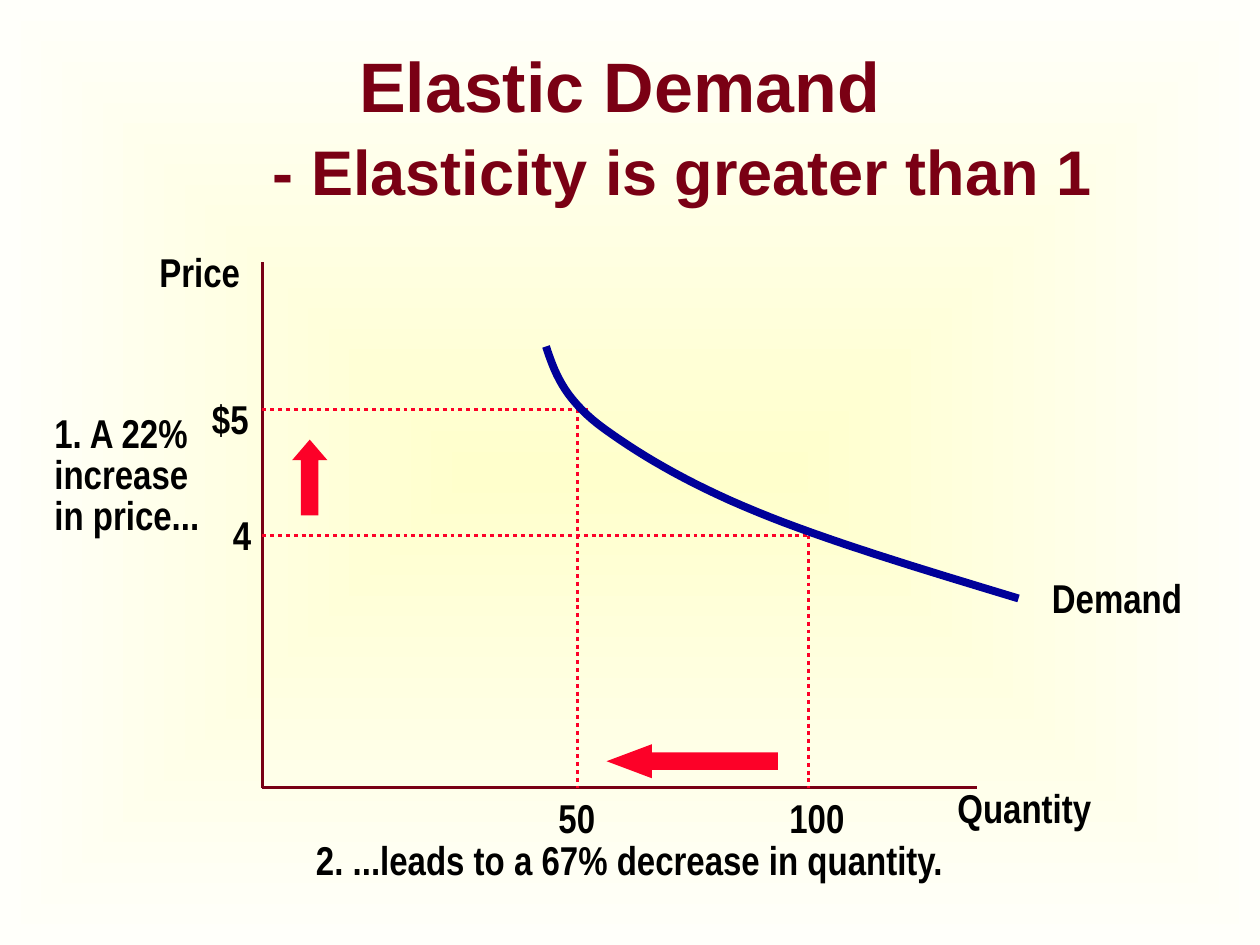
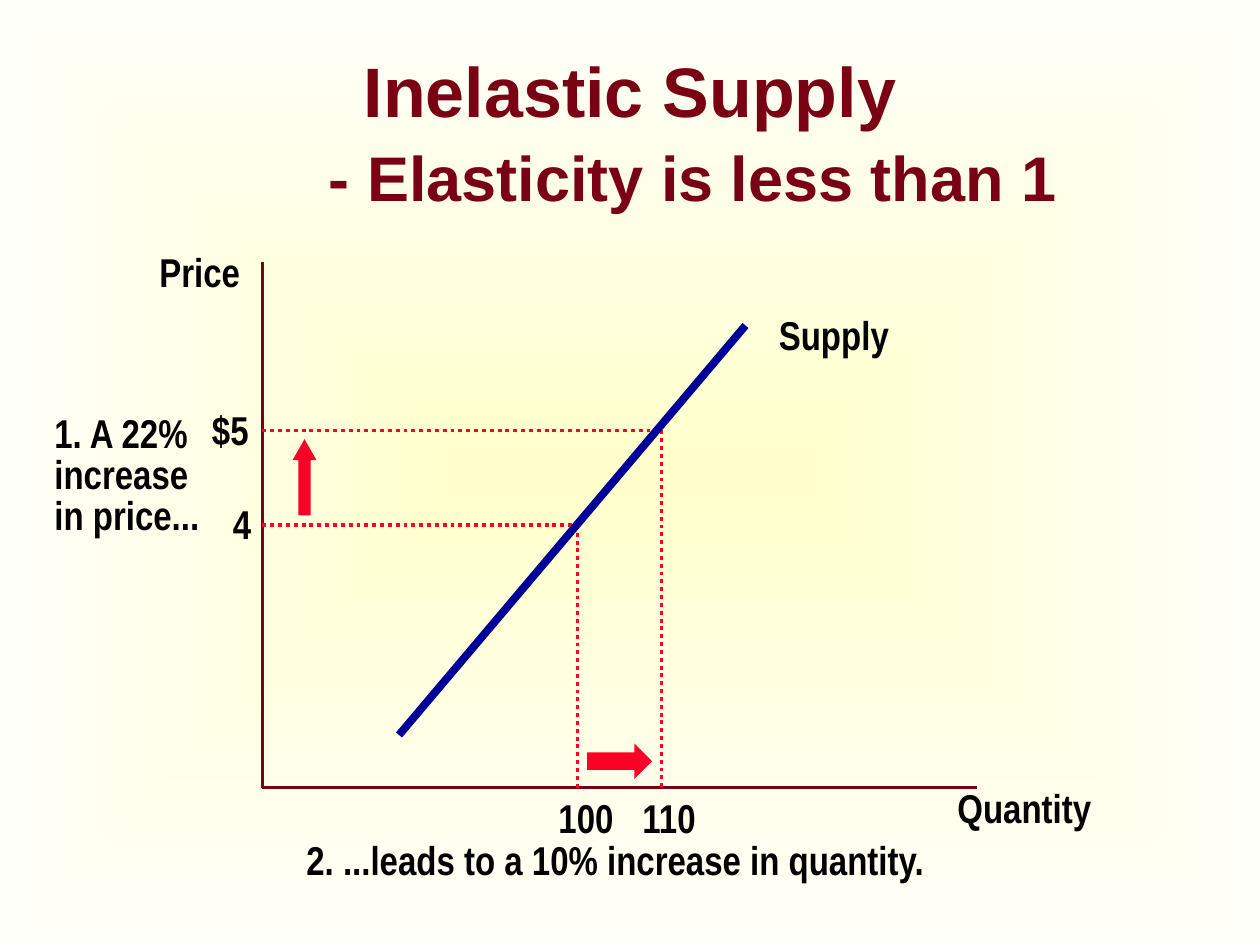
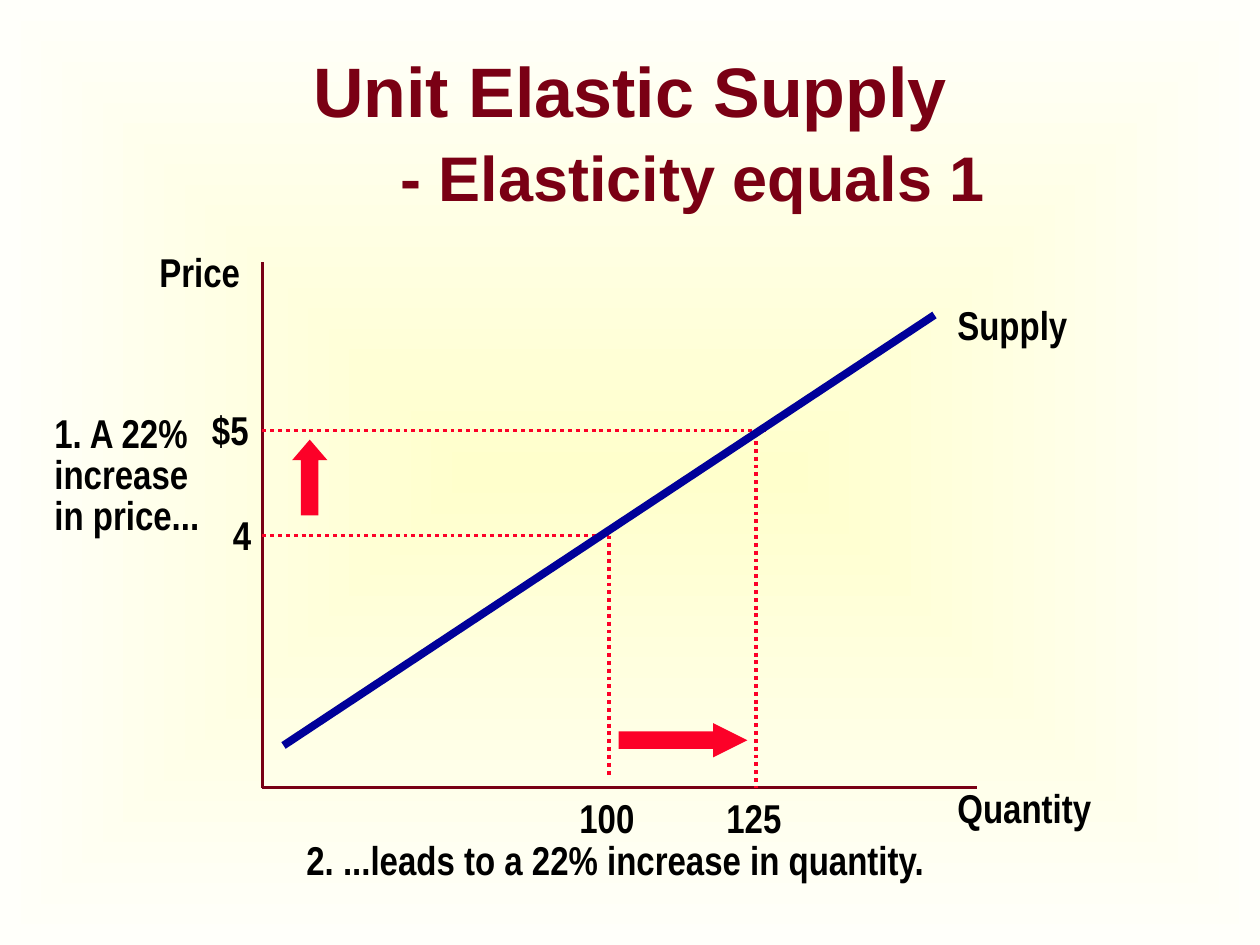
import collections

import lxml.etree
import pptx
import pptx.dml.color
import pptx.enum.dml
import pptx.enum.shapes
import pptx.enum.text
import pptx.oxml.ns
import pptx.util

Pt = pptx.util.Pt
SHAPE = pptx.enum.shapes.MSO_SHAPE
qn = pptx.oxml.ns.qn

HUES = {
    "title": "7A0014", "axis": "790015", "text": "000000",
    "guide": "FC0128", "curve": "000099",
    "core": "FFFFCC", "edge": "FFFFFA",
}
HEAD_FONT, TEXT_FONT = "Arial", "Arial Narrow"
LABEL_HIGH = 35

Box = collections.namedtuple("Box", "left top wide high")
# One price and its quantity; the lines meet near (x, y) in the plot.
Guide = collections.namedtuple(
    "Guide", "price y rise reach amount x shift top foot")
Arrow = collections.namedtuple("Arrow", "kind left top wide high")
Label = collections.namedtuple("Label", "text left top wide")

PLOT = Box(150, 150, 408, 300)
HEAD = Box(0, 30, 720, 90)

SLIDES = [
    dict(
        head=("Elastic Demand", "- Elasticity is greater than 1"),
        head_box=Box(24, 18, 660, 108),
        guides=[Guide("4", 156, 18, 312, "100", 312, 18, 156, 300),
                Guide("$5", 84, 12, 186, "50", 180, 18, 84, 300)],
        name=Label("Demand", 444, 174, 94),
        curve=[(162, 48), (166.8, 62.4), (171.8, 76.8), (192, 92.6),
               (212.2, 107.8), (241.7, 125.8), (282, 142.3),
               (322.3, 158.9), (377, 175.4), (432, 192)],
        effect=Label("2. ...leads to a 67% decrease in quantity.",
                     23.5, 324, 382),
        arrows=[Arrow(SHAPE.UP_ARROW, 18, 102, 18, 42),
                Arrow(SHAPE.LEFT_ARROW, 198, 276, 96, 18)],
    ),
    dict(
        head=("Inelastic Supply", "- Elasticity is less than 1"),
        head_box=HEAD,
        guides=[Guide("4", 150, 18, 180, "100", 180, 18, 150, 300),
                Guide("$5", 96, 18, 228, "110", 228, 18, 96, 300)],
        name=Label("Supply", 288, 24, 83),
        curve=[(78, 270), (276, 36)],
        effect=Label("2. ...leads to a 10% increase in quantity.",
                     18, 324, 377),
        arrows=[Arrow(SHAPE.UP_ARROW, 18, 102, 12, 42),
                Arrow(SHAPE.RIGHT_ARROW, 186, 276, 36, 18)],
    ),
    dict(
        head=("Unit Elastic Supply", "- Elasticity equals 1"),
        head_box=HEAD,
        guides=[Guide("4", 156, 18, 198, "100", 198, 24, 156, 294),
                Guide("$5", 96, 18, 288, "125", 282, 24, 102, 300)],
        name=Label("Supply", 390, 18, 83),
        curve=[(12, 276), (384, 30)],
        effect=Label("2. ...leads to a 22% increase in quantity.",
                     18, 324, 377),
        arrows=[Arrow(SHAPE.UP_ARROW, 18, 102, 18, 42),
                Arrow(SHAPE.RIGHT_ARROW, 204, 264, 72, 18)],
    ),
]


def hue(name):
    return pptx.dml.color.RGBColor.from_string(HUES[name])


def style(font, face, size, name):
    font.name, font.size, font.bold = face, Pt(size), True
    font.color.rgb = hue(name)


def add_back(master):
    """Give every slide the glow that fades from the middle."""
    fill = master.background.fill
    fill.gradient()
    for stop, place, name in zip(fill.gradient_stops, (0, 1), ("core", "edge")):
        stop.position = place
        stop.color.rgb = hue(name)
    grad = next(master.element.iter(qn("a:gradFill")))
    grad.remove(grad.find(qn("a:lin")))
    path = lxml.etree.SubElement(grad, qn("a:path"), path="rect")
    lxml.etree.SubElement(path, qn("a:fillToRect"),
                          {side: "50000" for side in "ltrb"})


def add_head(slide, box, main, sub):
    title = slide.shapes.title
    title.left, title.top, title.width, title.height = map(Pt, box)
    frame = title.text_frame
    frame.auto_size = pptx.enum.text.MSO_AUTO_SIZE.NONE
    frame.vertical_anchor = pptx.enum.text.MSO_ANCHOR.MIDDLE
    para = frame.paragraphs[0]
    para.text = f"{main}\v\t"
    para.add_run().text = sub
    para.alignment = pptx.enum.text.PP_ALIGN.CENTER
    # Tab stops one inch apart
    tabs = lxml.etree.SubElement(para._p.get_or_add_pPr(), qn("a:tabLst"))
    for inch in range(8):
        lxml.etree.SubElement(tabs, qn("a:tab"), pos=str(Pt(72 * inch)), algn="l")
    for run, size in zip(para.runs, (40, 40, 36)):
        style(run.font, HEAD_FONT, size, "title")


def add_label(slide, box, text, left, top, wide, high=LABEL_HIGH, space=None):
    shape = slide.shapes.add_textbox(
        Pt(box.left + left), Pt(box.top + top), Pt(wide), Pt(high))
    frame = shape.text_frame
    frame.word_wrap = True
    frame.auto_size = pptx.enum.text.MSO_AUTO_SIZE.SHAPE_TO_FIT_TEXT
    frame.text = text
    for para in frame.paragraphs:
        if space:
            para.line_spacing = space
        for run in para.runs:
            style(run.font, TEXT_FONT, 23, "text")


def add_mark(slide, box, text, left, top):
    """Place a number on an axis, as wide as its digits need."""
    add_label(slide, box, text, left, top, 17 + 10.5 * len(text))


def add_line(slide, box, start, end, name, weight=2.25, dots=False):
    line = slide.shapes.add_connector(
        pptx.enum.shapes.MSO_CONNECTOR.STRAIGHT,
        Pt(box.left + start[0]), Pt(box.top + start[1]),
        Pt(box.left + end[0]), Pt(box.top + end[1]))
    line.line.color.rgb = hue(name)
    line.line.width = Pt(weight)
    if dots:
        line.line.dash_style = pptx.enum.dml.MSO_LINE.ROUND_DOT
    lxml.etree.SubElement(line._element.spPr, qn("a:effectLst"))


def trace(knots, steps=16):
    """Yield points along joined cubic curves."""
    yield knots[0]
    for first in range(0, len(knots) - 1, 3):
        part = knots[first:first + 4]
        for step in range(1, steps + 1):
            t = step / steps
            pull = ((1 - t) ** 3, 3 * t * (1 - t) ** 2, 3 * t * t * (1 - t), t ** 3)
            yield tuple(sum(p * knot[axis] for p, knot in zip(pull, part))
                        for axis in (0, 1))


def add_curve(slide, box, knots):
    if len(knots) == 2:
        add_line(slide, box, *knots, "curve", 4.5)
        return
    spots = [(Pt(box.left + x), Pt(box.top + y)) for x, y in trace(knots)]
    pen = slide.shapes.build_freeform(*spots[0])
    pen.add_line_segments(spots[1:], close=False)
    curve = pen.convert_to_shape()
    curve.shadow.inherit = False
    curve.fill.background()
    curve.line.color.rgb = hue("curve")
    curve.line.width = Pt(4.5)


def add_arrow(slide, box, arrow):
    shape = slide.shapes.add_shape(
        arrow.kind, Pt(box.left + arrow.left), Pt(box.top + arrow.top),
        Pt(arrow.wide), Pt(arrow.high))
    # The head takes a quarter of the length
    short, long = sorted((arrow.wide, arrow.high))
    shape.adjustments[0] = 0.5
    shape.adjustments[1] = long / 4 / short
    shape.shadow.inherit = False
    shape.fill.solid()
    shape.fill.fore_color.rgb = hue("guide")
    shape.line.color.rgb = hue("guide")
    shape.line.width = Pt(1)
    # Sharp corners
    edge = shape._element.spPr.find(qn("a:ln"))
    lxml.etree.SubElement(edge, qn("a:miter"), lim="800000")


def add_axes(slide, box):
    base = (0, box.high)
    add_line(slide, box, (0, 0), base, "axis")
    add_line(slide, box, base, (box.wide, box.high), "axis")
    add_label(slide, box, "Quantity", box.wide - 18, box.high - 6, 97)
    add_label(slide, box, "Price", -66, -12, 66)


def add_guide(slide, box, guide):
    left = -24 if len(guide.price) == 1 else -36
    add_mark(slide, box, guide.price, left, guide.y - guide.rise)
    add_line(slide, box, (0, guide.y), (guide.reach, guide.y), "guide", dots=True)
    add_line(slide, box, (guide.x, guide.top), (guide.x, guide.foot),
             "guide", dots=True)
    add_mark(slide, box, guide.amount, guide.x - guide.shift, box.high)


def add_plot(slide, box, guides, name, curve, effect, arrows):
    add_axes(slide, box)
    for guide in guides:
        add_guide(slide, box, guide)
    # Cause, curve and effect
    add_label(slide, box, "1. A 22%\nincrease\nin price...",
              -126, 84, 103, 78, space=0.85)
    add_label(slide, box, *name)
    add_curve(slide, box, curve)
    add_label(slide, box, *effect)
    for arrow in arrows:
        add_arrow(slide, box, arrow)


def main():
    deck = pptx.Presentation()
    deck.slide_width, deck.slide_height = Pt(720), Pt(540)
    add_back(deck.slide_master)
    for data in SLIDES:
        slide = deck.slides.add_slide(deck.slide_layouts.get_by_name("Title Only"))
        add_head(slide, data["head_box"], *data["head"])
        add_plot(slide, PLOT, data["guides"], data["name"], data["curve"],
                 data["effect"], data["arrows"])
    deck.save("out.pptx")


if __name__ == "__main__":
    main()
